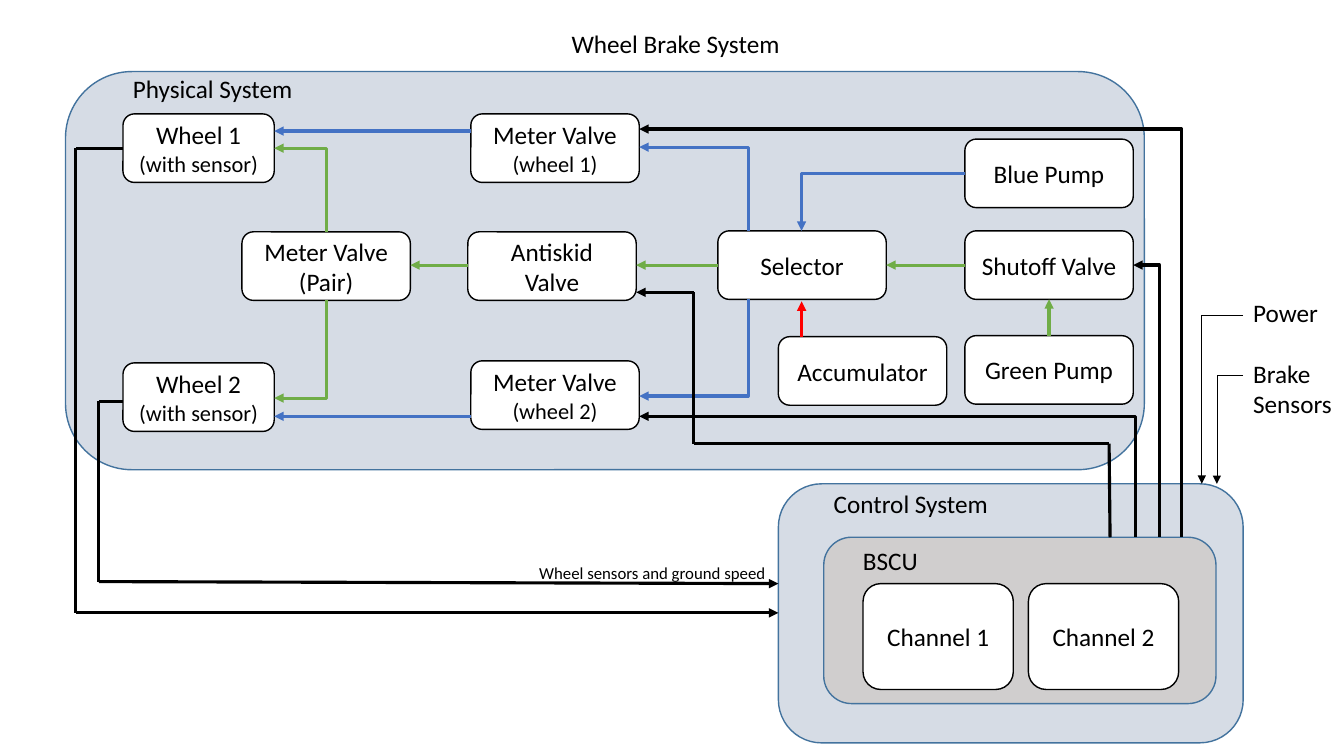
from dataclasses import dataclass
from itertools import pairwise

from lxml.etree import SubElement
from pptx import Presentation
from pptx.dml.color import RGBColor
from pptx.enum.shapes import MSO_CONNECTOR, MSO_SHAPE
from pptx.enum.text import MSO_ANCHOR, MSO_AUTO_SIZE, PP_ALIGN
from pptx.oxml.ns import qn
from pptx.util import Inches, Pt

# The slide is a fine grid of square cells; every length below counts cells.
COLUMNS, ROWS = 1333, 750
CELL = Inches(0.01)
BLACK, WHITE, RED = "000000", "FFFFFF", "FF0000"
GREEN, BLUE = "70AD47", "4472C4"
PANEL, BSCU_GREY, PANEL_EDGE = "D6DCE5", "D0CECE", "43739E"
HEADING, DETAIL, NOTE = 18, 16, 12
THICK, THIN = 2.25, 0.5

Point = tuple[float, float]


@dataclass(frozen=True)
class Block:
    """A rounded block of the system, with an optional smaller detail line."""
    left: int
    top: int
    width: int = 167
    height: int = 68
    name: str = ""
    detail: str = ""
    detail_size: int = DETAIL
    fill: str = WHITE
    edge: str = BLACK

    @property
    def right(self) -> int:
        return self.left + self.width

    @property
    def bottom(self) -> int:
        return self.top + self.height

    @property
    def center(self) -> float:
        return self.left + self.width / 2

    @property
    def middle(self) -> float:
        return self.top + self.height / 2


@dataclass(frozen=True)
class Label:
    """Free text; gap is the space in points before the second line."""
    left: int
    top: int
    width: int
    height: int
    text: str
    size: int = HEADING
    gap: int = 0


@dataclass(frozen=True)
class Route:
    """A line through points that ends in an arrowhead."""
    points: tuple[Point, ...]
    color: str = BLACK
    weight: float = THICK


def rgb(color: str) -> RGBColor:
    """Turn a hex string into a colour."""
    return RGBColor.from_string(color)


def style_text(paragraph, size: int) -> None:
    """Format the runs of a paragraph."""
    for run in paragraph.runs:
        run.font.name, run.font.size = "Calibri", Pt(size)
        run.font.color.rgb = rgb(BLACK)


def draw_block(slide, block: Block) -> None:
    """Draw a rounded block with its centred text."""
    shape = slide.shapes.add_shape(
        MSO_SHAPE.ROUNDED_RECTANGLE, block.left * CELL, block.top * CELL,
        block.width * CELL, block.height * CELL)
    shape.shadow.inherit = False
    shape.fill.solid()
    shape.fill.fore_color.rgb = rgb(block.fill)
    shape.line.color.rgb, shape.line.width = rgb(block.edge), Pt(1)
    if not block.name:
        return
    frame = shape.text_frame
    frame.text = "\n".join(filter(None, (block.name, block.detail)))
    frame.vertical_anchor = MSO_ANCHOR.MIDDLE
    for paragraph, size in zip(frame.paragraphs, (HEADING, block.detail_size)):
        paragraph.alignment = PP_ALIGN.CENTER
        style_text(paragraph, size)


def draw_label(slide, label: Label) -> None:
    """Draw unwrapped free text."""
    frame = slide.shapes.add_textbox(
        label.left * CELL, label.top * CELL,
        label.width * CELL, label.height * CELL).text_frame
    frame.word_wrap, frame.auto_size = False, MSO_AUTO_SIZE.SHAPE_TO_FIT_TEXT
    frame.text = label.text
    for paragraph in frame.paragraphs:
        style_text(paragraph, label.size)
    if label.gap:
        frame.paragraphs[1].space_before = Pt(label.gap)


def draw_connector(slide, start: Point, end: Point, route: Route,
                   arrow: str = "", bent: bool = False) -> None:
    """Draw a straight line, or one bend that leaves start horizontally."""
    kind = MSO_CONNECTOR.ELBOW if bent else MSO_CONNECTOR.STRAIGHT
    ends = [round(value * CELL) for value in (*start, *end)]
    connector = slide.shapes.add_connector(kind, *ends)
    connector.line.color.rgb = rgb(route.color)
    connector.line.width = Pt(route.weight)
    properties = connector._element.spPr
    if bent:
        properties.find(qn("a:prstGeom")).set("prst", "bentConnector2")
    if arrow:
        SubElement(properties.find(qn("a:ln")), qn(arrow), type="triangle")
    SubElement(properties, qn("a:effectLst"))


def draw_route(slide, route: Route) -> None:
    """Draw one bend as an elbow, any other route as straight pieces."""
    first, last = route.points[0], route.points[-1]
    if len(route.points) == 3:
        if route.points[1][1] == first[1]:
            draw_connector(slide, first, last, route, "a:tailEnd", bent=True)
        else:
            draw_connector(slide, last, first, route, "a:headEnd", bent=True)
        return
    for start, end in pairwise(route.points):
        draw_connector(slide, start, end, route,
                       "a:tailEnd" if end == last else "")


physical = Block(65, 71, 1070, 395, fill=PANEL, edge=PANEL_EDGE)
control = Block(772, 480, 461, 257, fill=PANEL, edge=PANEL_EDGE)
bscu = Block(817, 533, 389, 165, fill=BSCU_GREY, edge=PANEL_EDGE)
channels = [Block(856 + 164 * index, 579, 149, 105, f"Channel {index + 1}")
            for index in range(2)]
wheel_1, wheel_2 = (Block(122, top, 150, name=f"Wheel {number}", detail="(with sensor)")
                    for number, top in ((1, 113), (2, 360)))
meter_1, meter_2 = (Block(467, top, name="Meter Valve", detail=f"(wheel {number})")
                    for number, top in ((1, 113), (2, 358)))
meter_pair = Block(240, 230, name="Meter Valve", detail="(Pair)", detail_size=HEADING)
antiskid = Block(464, 230, name="Antiskid Valve")
selector = Block(712, 229, name="Selector")
accumulator = Block(772, 334, name="Accumulator")
blue_pump, shutoff, green_pump = (
    Block(957, top, name=name) for top, name in
    ((138, "Blue Pump"), (229, "Shutoff Valve"), (333, "Green Pump")))
blocks = [physical, control, bscu, *channels, wheel_1, wheel_2, meter_pair, meter_1,
          meter_2, antiskid, selector, accumulator, blue_pump, shutoff, green_pump]

labels = [
    Label(557, 23, 229, 40, "Wheel Brake System"),
    Label(122, 68, 180, 40, "Physical System"),
    Label(817, 480, 175, 40, "Control System"),
    Label(846, 536, 75, 40, "BSCU"),
    Label(1233, 290, 99, 131, "Power\nBrake\nSensors", gap=22),
    Label(525, 553, 247, 30, "Wheel sensors and ground speed", NOTE),
]

supply, outlet = 795, 742  # columns where lines enter and leave the selector
flow = shutoff.middle
routes = [
    Route(((green_pump.center, green_pump.top), (green_pump.center, shutoff.bottom)), GREEN),
    *(Route(((source.left, flow), (target.right, flow)), GREEN)
      for source, target in pairwise((shutoff, selector, antiskid, meter_pair))),
    Route(((meter_pair.center, meter_pair.top), (meter_pair.center, wheel_1.middle),
           (wheel_1.right, wheel_1.middle)), GREEN),
    Route(((meter_pair.center, meter_pair.bottom), (meter_pair.center, 395),
           (wheel_2.right, 395)), GREEN),
    Route(((blue_pump.left, blue_pump.middle), (supply, blue_pump.middle),
           (supply, selector.top)), BLUE),
    Route(((outlet, selector.top), (outlet, 146), (meter_1.right, 146)), BLUE),
    Route(((outlet, selector.bottom), (outlet, 393), (meter_2.right, 393)), BLUE),
    Route(((meter_1.left, 130), (wheel_1.right, 130)), BLUE),
    Route(((meter_2.left, 413), (wheel_2.right, 413)), BLUE),
    Route(((supply, accumulator.top), (supply, selector.bottom + 2)), RED),
    *(Route(((control.right, row), (column, row), (column, control.top)), weight=THIN)
      for column, row in ((1192, 313), (1207, 372))),
    *(Route(((column, bscu.top), (column, row), (target.right, row)))
      for column, row, target in
      ((1150, flow, shutoff), (1126, 413, meter_2), (1172, 128, meter_1))),
    Route(((1101, bscu.top), (1100, 440), (688, 440), (688, 290), (antiskid.right, 290))),
    Route(((wheel_1.left, 147), (75, 147), (75, 608), (control.left, 608))),
    Route(((wheel_2.left, 398), (98, 398), (98, 577), (control.left, 579))),
]

presentation = Presentation()
presentation.slide_width, presentation.slide_height = COLUMNS * CELL, ROWS * CELL
slide = presentation.slides.add_slide(presentation.slide_layouts[6])
for block in blocks:
    draw_block(slide, block)
for label in labels:
    draw_label(slide, label)
for route in routes:
    draw_route(slide, route)
presentation.save("out.pptx")
